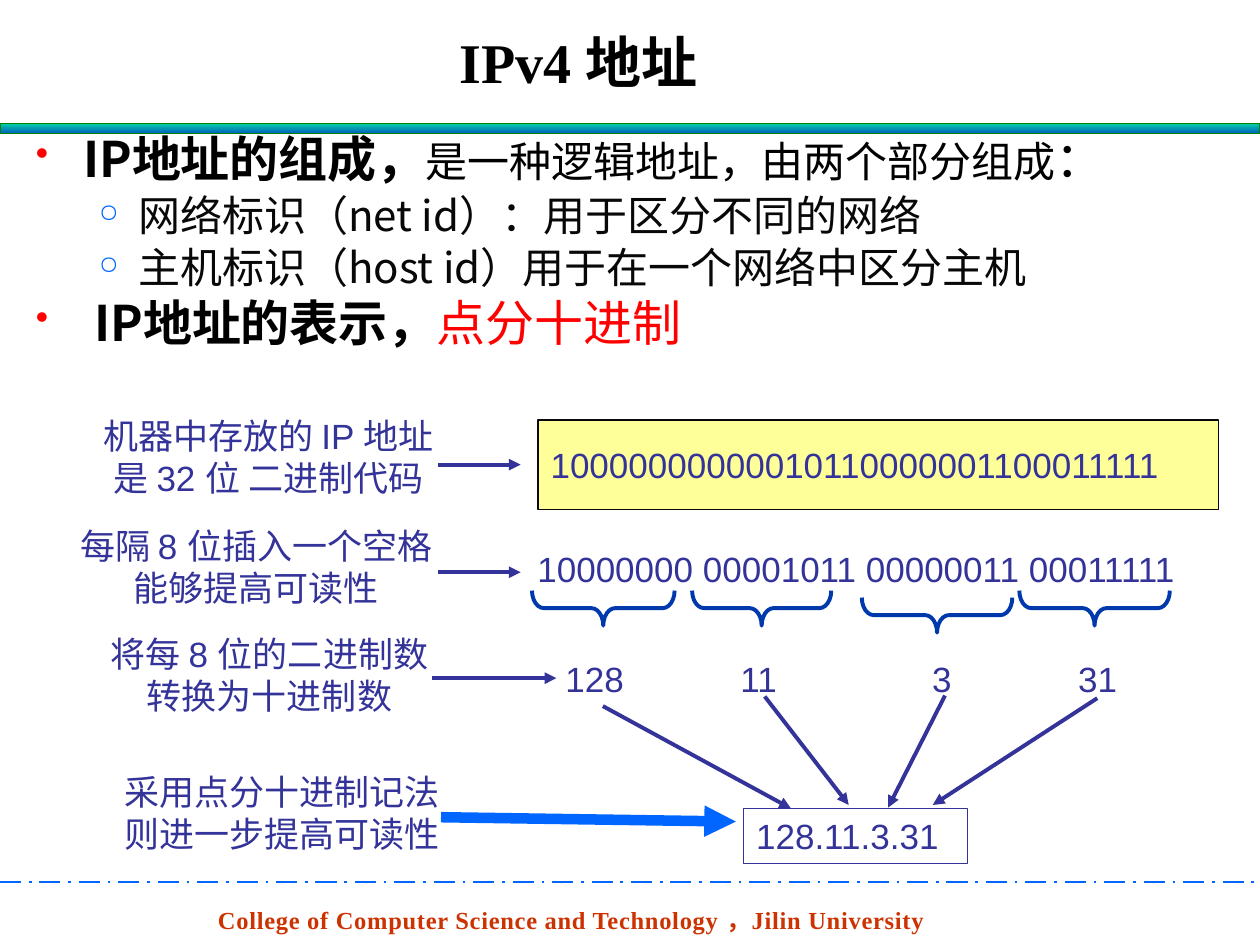
from pptx import Presentation
from pptx.util import Pt
from pptx.dml.color import RGBColor
from pptx.enum.dml import MSO_LINE
from pptx.enum.shapes import MSO_SHAPE as Shape, MSO_CONNECTOR as Conn
from pptx.enum.text import PP_ALIGN as Align, MSO_ANCHOR as Anchor
from pptx.oxml.ns import qn
from lxml.etree import SubElement as Sub

INK = RGBColor(0x33, 0x33, 0x99)
BLACK = RGBColor(0, 0, 0)
DARK = RGBColor(8, 8, 8)
RED = RGBColor(0xFF, 0, 0)
RUST = RGBColor(0xCC, 0x33, 0)
BLUE = RGBColor(0, 0x66, 0xFF)
NAVY = RGBColor(0, 0x39, 0xAC)
GREEN = RGBColor(0, 0x80, 0)
TEAL = RGBColor(3, 0xD4, 0xA8)
DEEP = RGBColor(0, 0x5C, 0xBF)
CREAM = RGBColor(0xFF, 0xFF, 0x99)
SANS, SERIF, CJK = "Arial", "Times New Roman", "Noto Sans CJK SC"

# Content: body paragraphs are (level, [(text, size, colour, bold)])
BODY = [
    (0, [("IP地址的组成，", 28, BLACK, True),
         ("是一种逻辑地址，由两个部分组成", 24, BLACK, False),
         ("：", 28, BLACK, False)]),
    (1, [("网络标识（net id）：用于区分不同的网络", 24, DARK, False)]),
    (1, [("主机标识（host id）用于在一个网络中区分主机", 24, DARK, False)]),
    (0, [(" IP地址的表示，", 28, BLACK, True),
         ("点分十进制", 28, RED, False)]),
]
# Level: left margin, indent, bullet, colour, size in percent
LEVELS = [(27, -27, "•", "FF0000", 75), (58.5, -22.5, "○", "0066FF", 60)]
# Steps: lines, box, alignment, wrap
STEPS = [
    (["机器中存放的 IP 地址", "是 32 位 二进制代码"],
     (44, 233.5, 219, 55.5), Align.CENTER, False),
    (["每隔 8 位插入一个空格", "能够提高可读性"],
     (31, 296, 231, 55.5), Align.CENTER, False),
    (["将每 8 位的二进制数", "转换为十进制数"],
     (54, 358, 200, 79), Align.CENTER, True),
    (["采用点分十进制记法", "则进一步提高可读性"],
     (64, 437, 198, 55.5), Align.LEFT, True),
]
BYTES = ["10000000", "00001011", "00000011", "00011111"]
STOPS = [100, 209.5, 293]
# Braces: left, top, width
BRACES = [(304, 337.5, 81.5), (395.5, 337.5, 79.5),
          (492.5, 341.5, 86), (582.5, 337.5, 86)]
# Arrows: x1, y1, x2, y2
ARROWS = [(250.5, 265.5, 297.5, 265.5), (250.5, 327, 297.5, 327),
          (247, 387.5, 318, 387.5), (344.5, 403.5, 452, 462),
          (627, 399, 533, 460), (437, 398, 485, 460),
          (540, 397.5, 507.5, 461.5)]

deck = Presentation()
deck.slide_width, deck.slide_height = Pt(720), Pt(540)
slide = deck.slides.add_slide(deck.slide_layouts[6])
shapes = slide.shapes


def add_run(para, text, size, color, bold=False, font=SANS, east=None):
    run = para.add_run()
    run.text = text
    run.font.size, run.font.bold, run.font.name = Pt(size), bold, font
    run.font.color.rgb = color
    if east:
        Sub(run.font._element, qn("a:ea")).set("typeface", east)
    return run


def add_text(lines, box=None, host=None, size=20, color=INK, bold=False,
             font=SANS, align=Align.LEFT, wrap=True, anchor=Anchor.TOP):
    host = host or shapes.add_textbox(*map(Pt, box))
    frame = host.text_frame
    frame.word_wrap, frame.vertical_anchor = wrap, anchor
    for i, line in enumerate(lines):
        para = frame.add_paragraph() if i else frame.paragraphs[0]
        para.alignment = align
        add_run(para, line, size, color, bold, font)
    return frame


def add_shape(kind, box, line, width=0.75, fill=None):
    shape = shapes.add_shape(kind, *map(Pt, box))
    shape.shadow.inherit = False
    shape.line.color.rgb, shape.line.width = line, Pt(width)
    if fill:
        shape.fill.solid()
        shape.fill.fore_color.rgb = fill
    else:
        shape.fill.background()
    return shape


def add_line(ends, color=INK, width=2.25, head=True):
    line = shapes.add_connector(Conn.STRAIGHT, *map(Pt, ends))
    line.line.color.rgb, line.line.width = color, Pt(width)
    if head:
        Sub(line.line._get_or_add_ln(), qn("a:tailEnd")).set("type", "triangle")
    Sub(line._element.spPr, qn("a:effectLst"))
    return line


# Footer and rules
foot = add_text(["College of Computer Science and Technology ，Jilin University"],
                (117.5, 513.5, 426, 24.5), size=14, color=RUST, bold=True,
                font=SERIF)
foot.paragraphs[0].runs[0].font._element.set("spc", "40")
add_line((0, 504, 720, 504), BLUE, 1.5, False).line.dash_style = \
    MSO_LINE.LONG_DASH_DOT
band = add_shape(Shape.RECTANGLE, (0, 70.5, 720, 6), GREEN)
band.fill.gradient()
band.fill.gradient_angle = 270
for stop, color in zip(band.fill.gradient_stops, (TEAL, DEEP)):
    stop.color.rgb = color

# Title and body
add_text(["IPv4 地址"], (216, 12, 229, 46), size=32, color=BLACK, bold=True,
         font=SERIF, align=Align.CENTER)
body = shapes.add_textbox(Pt(13.5), Pt(75.5), Pt(683.5), Pt(165)).text_frame
body.word_wrap = True
for i, (level, runs) in enumerate(BODY):
    para = body.add_paragraph() if i else body.paragraphs[0]
    para.level, para.line_spacing = level, 0.83
    if i:
        para.space_before = Pt(6)
    left, indent, mark, tint, part = LEVELS[level]
    props = para._p.get_or_add_pPr()
    props.set("marL", str(Pt(left)))
    props.set("indent", str(Pt(indent)))
    Sub(Sub(props, qn("a:buClr")), qn("a:srgbClr")).set("val", tint)
    Sub(props, qn("a:buSzPct")).set("val", str(part * 1000))
    Sub(props, qn("a:buChar")).set("char", mark)
    for run in runs:
        add_run(para, *run, font=CJK, east=CJK)

# Steps on the left
for lines, box, align, wrap in STEPS:
    add_text(lines, box, align=align, wrap=wrap)

# Address in each notation
code = add_shape(Shape.RECTANGLE, (307.5, 240, 389, 51), DARK, fill=CREAM)
add_text(["".join(BYTES)], host=code, wrap=False, anchor=Anchor.MIDDLE)
add_text([" ".join(BYTES)], (300, 309.5, 393, 31.5), wrap=False)
values = [str(int(byte, 2)) for byte in BYTES]
row = add_text(["\t".join(values)], (316, 372, 341, 31.5))
tabs = Sub(row.paragraphs[0]._p.get_or_add_pPr(), qn("a:tabLst"))
for stop in STOPS:
    tab = Sub(tabs, qn("a:tab"))
    tab.set("pos", str(Pt(stop)))
    tab.set("algn", "l")
result = add_shape(Shape.RECTANGLE, (425, 462, 128, 31.5), INK)
add_text([".".join(values)], host=result)

# Braces: upright left braces turned to point down
DEPTH = 20
for left, top, width in BRACES:
    box = (left + (width - DEPTH) / 2, top - (width - DEPTH) / 2, DEPTH, width)
    brace = add_shape(Shape.LEFT_BRACE, box, NAVY, 2.25)
    brace.rotation = 270
    brace.adjustments[0] = 0.34

# Arrows
for ends in ARROWS:
    add_line(ends)
add_line((252, 467, 420.5, 469.5), BLUE, 6)

deck.save("out.pptx")
